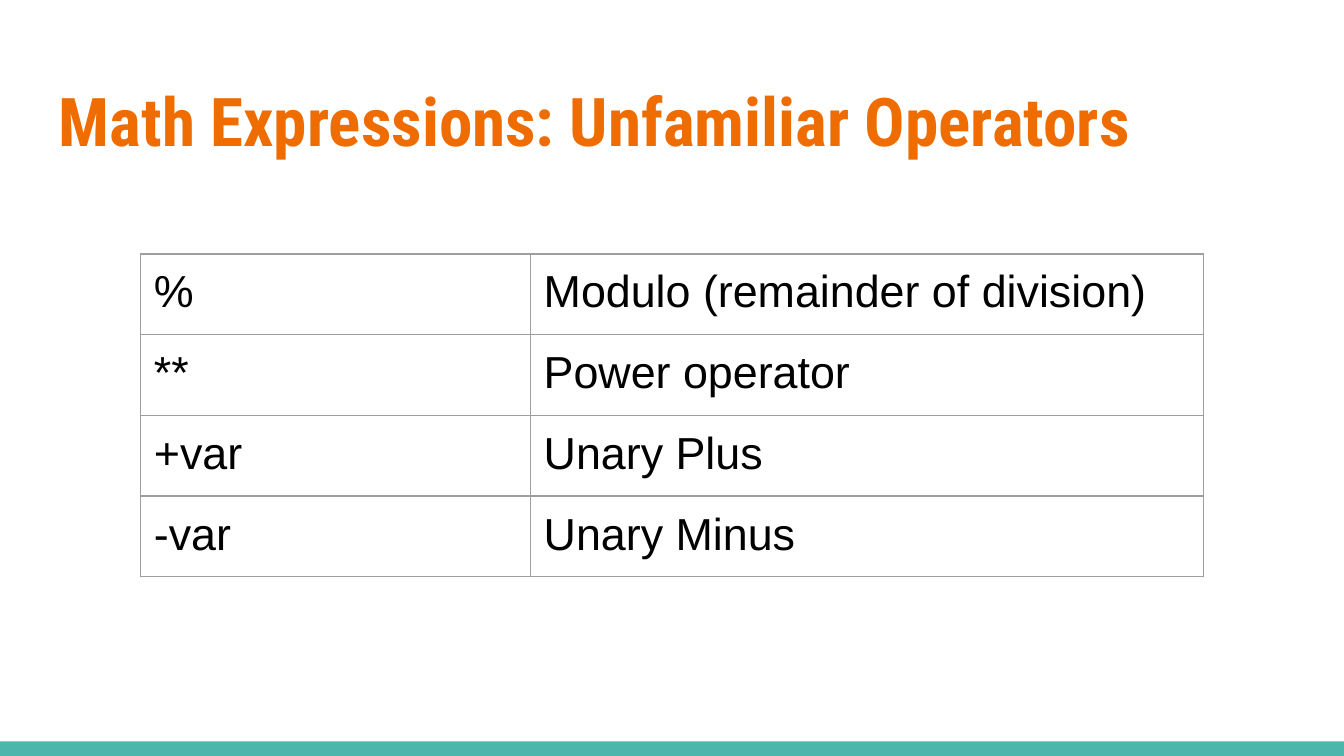
import dataclasses

import lxml.etree
import pptx
import pptx.dml.color
import pptx.enum.shapes
import pptx.enum.text
import pptx.oxml.ns
import pptx.util

Pt = pptx.util.Pt


@dataclasses.dataclass(frozen=True)
class Theme:
    accent: str = "4DB6AC"
    heading: str = "EF6C00"
    ink: str = "000000"
    rule: str = "9E9E9E"
    heading_font: str = "Roboto Condensed"
    body_font: str = "Arial"
    heading_size: float = 36
    body_size: float = 24
    rule_width: float = 0.75
    inset: float = 7.2


THEME = Theme()
OPERATORS = [
    ("%", "Modulo (remainder of division)"),
    ("**", "Power operator"),
    ("+var", "Unary Plus"),
    ("-var", "Unary Minus"),
]


def color(value):
    return pptx.dml.color.RGBColor.from_string(value)


def write_text(frame, text, *, font, size, ink, bold=False):
    """Write one formatted paragraph into a text frame."""
    frame.word_wrap = True
    span = frame.paragraphs[0].add_run()
    span.text = text
    span.font.name = font
    span.font.size = Pt(size)
    span.font.bold = bold
    span.font.color.rgb = color(ink)


def set_insets(holder):
    holder.margin_left = holder.margin_right = Pt(THEME.inset)
    holder.margin_top = holder.margin_bottom = Pt(THEME.inset)


def set_borders(cell):
    """Rule all four sides; border lines must precede the cell fill."""
    properties = cell._tc.get_or_add_tcPr()
    for position, side in enumerate(("lnL", "lnR", "lnT", "lnB")):
        line = lxml.etree.Element(
            pptx.oxml.ns.qn(f"a:{side}"), w=str(Pt(THEME.rule_width)))
        fill = lxml.etree.SubElement(line, pptx.oxml.ns.qn("a:solidFill"))
        lxml.etree.SubElement(
            fill, pptx.oxml.ns.qn("a:srgbClr"), val=THEME.rule)
        properties.insert(position, line)


def add_footer_bar(page, left, top, width, height):
    bar = page.shapes.add_shape(
        pptx.enum.shapes.MSO_SHAPE.RECTANGLE,
        Pt(left), Pt(top), Pt(width), Pt(height))
    bar.shadow.inherit = False
    bar.fill.solid()
    bar.fill.fore_color.rgb = color(THEME.accent)
    bar.line.fill.background()


def add_title(page, text, left, top, width, height):
    box = page.shapes.add_textbox(Pt(left), Pt(top), Pt(width), Pt(height))
    frame = box.text_frame
    set_insets(frame)
    frame.vertical_anchor = pptx.enum.text.MSO_ANCHOR.TOP
    write_text(frame, text, font=THEME.heading_font, size=THEME.heading_size,
               ink=THEME.heading, bold=True)


def add_operator_table(page, rows, left, top, column_widths, row_height):
    table = page.shapes.add_table(
        len(rows), len(column_widths), Pt(left), Pt(top),
        Pt(sum(column_widths)), Pt(row_height * len(rows))).table
    table.first_row = table.horz_banding = False
    for column, width in zip(table.columns, column_widths):
        column.width = Pt(width)
    for row, texts in zip(table.rows, rows):
        row.height = Pt(row_height)
        for cell, text in zip(row.cells, texts):
            set_insets(cell)
            cell.fill.background()
            set_borders(cell)
            write_text(cell.text_frame, text, font=THEME.body_font,
                       size=THEME.body_size, ink=THEME.ink)


def build_slide(deck, width, height):
    page = deck.slides.add_slide(deck.slide_layouts[6])

    # Footer bar along the bottom edge
    bar_height = 7.8
    add_footer_bar(page, 0, height - bar_height, width, bar_height)

    # Title, with equal side margins
    margin = 24.5
    add_title(page, "Math Expressions: Unfamiliar Operators",
              margin, 35.3, width - 2 * margin, 55.4)

    # Operators and their meanings, centred on the page
    column_widths = (208.8, 360.7)
    add_operator_table(page, OPERATORS, (width - sum(column_widths)) / 2,
                       136.1, column_widths, 30.2)


def main():
    width, height = 720, 405
    deck = pptx.Presentation()
    deck.slide_width, deck.slide_height = Pt(width), Pt(height)
    build_slide(deck, width, height)
    deck.save("out.pptx")


if __name__ == "__main__":
    main()
